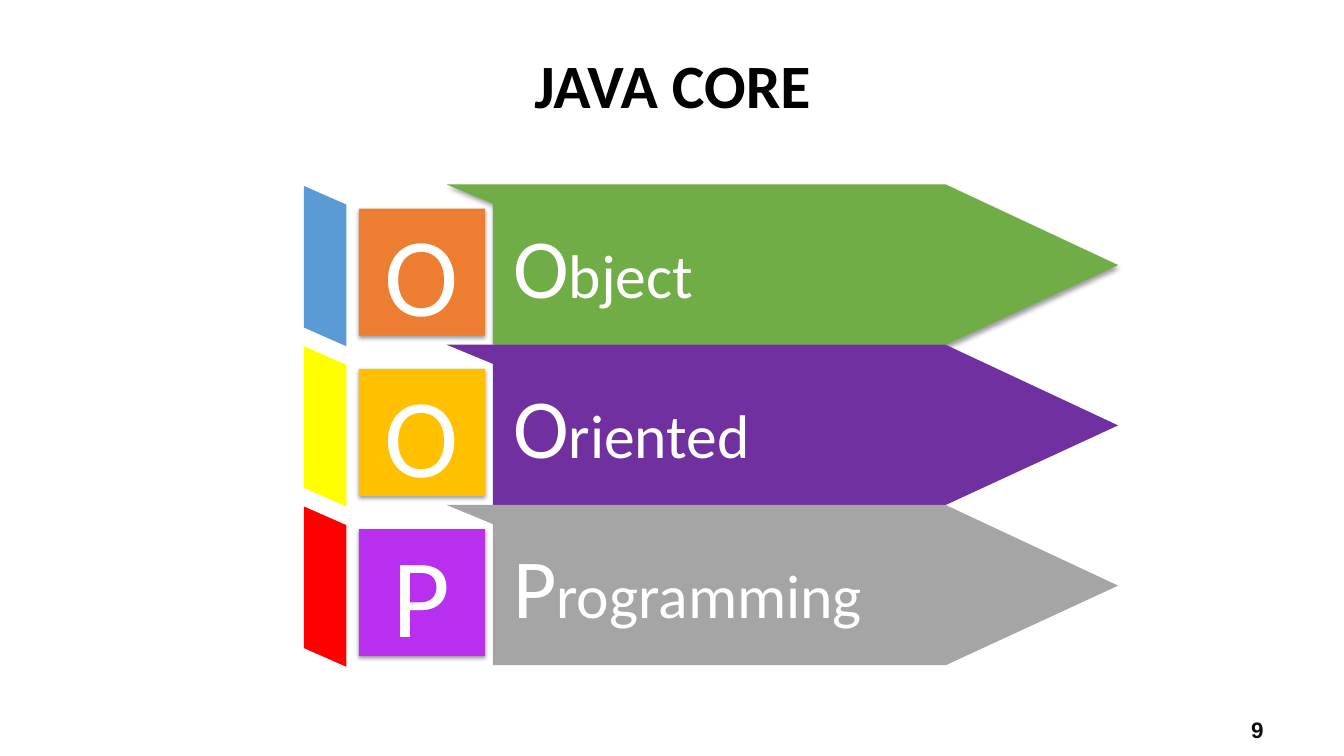
from dataclasses import dataclass

from lxml import etree
from pptx import Presentation
from pptx import util as u
from pptx.dml.color import RGBColor
from pptx.enum import shapes, text
from pptx.oxml.ns import qn

# Rows of the diagram, in inches
TOP = 1.83
ROW = 1.59
ARROW = [(4.43, 0), (9.38, 0), (11.09, 0.8), (9.38, ROW), (4.89, ROW), (4.89, 0.19)]


@dataclass
class Pillar:
    word: str
    flap: str
    tile: str
    arrow: str
    raised: bool = False


PILLARS = [
    Pillar("Object", "5B9BD5", "ED7D31", "70AD47", raised=True),
    Pillar("Oriented", "FFFF00", "FFC000", "7030A0"),
    Pillar("Programming", "FF0000", "B82FEF", "A5A5A5"),
]


def colour(value: str) -> RGBColor:
    return RGBColor.from_string(value)


def paint(shape, fill: str) -> None:
    shape.shadow.inherit = False
    shape.fill.solid()
    shape.fill.fore_color.rgb = colour(fill)
    shape.line.fill.background()


def cast_shadow(shape) -> None:
    effects = shape._element.spPr.find(qn("a:effectLst"))
    outer = etree.SubElement(effects, qn("a:outerShdw"), blurRad="40000",
                             dist="20000", dir="5400000", rotWithShape="0")
    black = etree.SubElement(outer, qn("a:srgbClr"), val="000000")
    etree.SubElement(black, qn("a:alpha"), val="38000")


def write(shape, spans: list[tuple[str, int]], align, hue: str = "FFFFFF",
          face: str = "Calibri", bold: bool = False, **frame_format) -> None:
    frame = shape.text_frame
    settings = {"word_wrap": True, "vertical_anchor": text.MSO_ANCHOR.MIDDLE, **frame_format}
    for name, value in settings.items():
        setattr(frame, name, value)
    para = frame.paragraphs[0]
    para.alignment = align
    for words, size in spans:
        span = para.add_run()
        span.text = words
        for name, value in {"size": u.Pt(size), "name": face, "bold": bold}.items():
            setattr(span.font, name, value)
        span.font.color.rgb = colour(hue)


def draw_pillar(page, pillar: Pillar, top: float) -> None:
    # Square tile with the initial
    tile = page.shapes.add_shape(shapes.MSO_SHAPE.RECTANGLE, u.Inches(3.56),
                                 u.Inches(top + 0.24), u.Inches(1.25), u.Inches(1.26))
    paint(tile, pillar.tile)
    cast_shadow(tile)
    write(tile, [(pillar.word[0], 80)], text.PP_ALIGN.CENTER)

    # Arrow with the whole word
    points = [(u.Inches(x), u.Inches(top + y)) for x, y in ARROW]
    builder = page.shapes.build_freeform(*points[0])
    builder.add_line_segments(points[1:], close=True)
    arrow = builder.convert_to_shape()
    paint(arrow, pillar.arrow)
    if pillar.raised:
        cast_shadow(arrow)
    write(arrow, [(pillar.word[0], 60), (pillar.word[1:], 44)], text.PP_ALIGN.LEFT,
          margin_left=u.Inches(0.66))

    # Slanted flap on the left
    flap = page.shapes.add_shape(shapes.MSO_SHAPE.PARALLELOGRAM, u.Inches(2.43),
                                 u.Inches(top + 0.6), u.Inches(ROW), u.Inches(0.42))
    flap.rotation = 90
    flap.adjustments[0] = 0.44
    paint(flap, pillar.flap)


def main() -> None:
    deck = Presentation()
    deck.slide_width, deck.slide_height = u.Inches(13.33), u.Inches(7.5)
    page = deck.slides.add_slide(deck.slide_layouts[5])

    # Page number
    number = page.shapes.add_textbox(u.Inches(9.63), u.Inches(7.04), u.Inches(3), u.Inches(0.4))
    write(number, [("9", 16)], text.PP_ALIGN.RIGHT, "0D0D0D", "Arial", True)

    for index, pillar in enumerate(PILLARS):
        draw_pillar(page, pillar, TOP + index * ROW)

    # Title, with no side margins so that it stays on one line
    title = page.shapes.title
    place = {"left": 5.2, "top": 0.42, "width": 2.94, "height": 0.83}
    for name, value in place.items():
        setattr(title, name, u.Inches(value))
    write(title, [("JAVA CORE", 44)], text.PP_ALIGN.CENTER, "000000", bold=True,
          margin_left=0, margin_right=0, vertical_anchor=text.MSO_ANCHOR.TOP,
          auto_size=text.MSO_AUTO_SIZE.NONE)

    deck.save("out.pptx")


if __name__ == "__main__":
    main()
